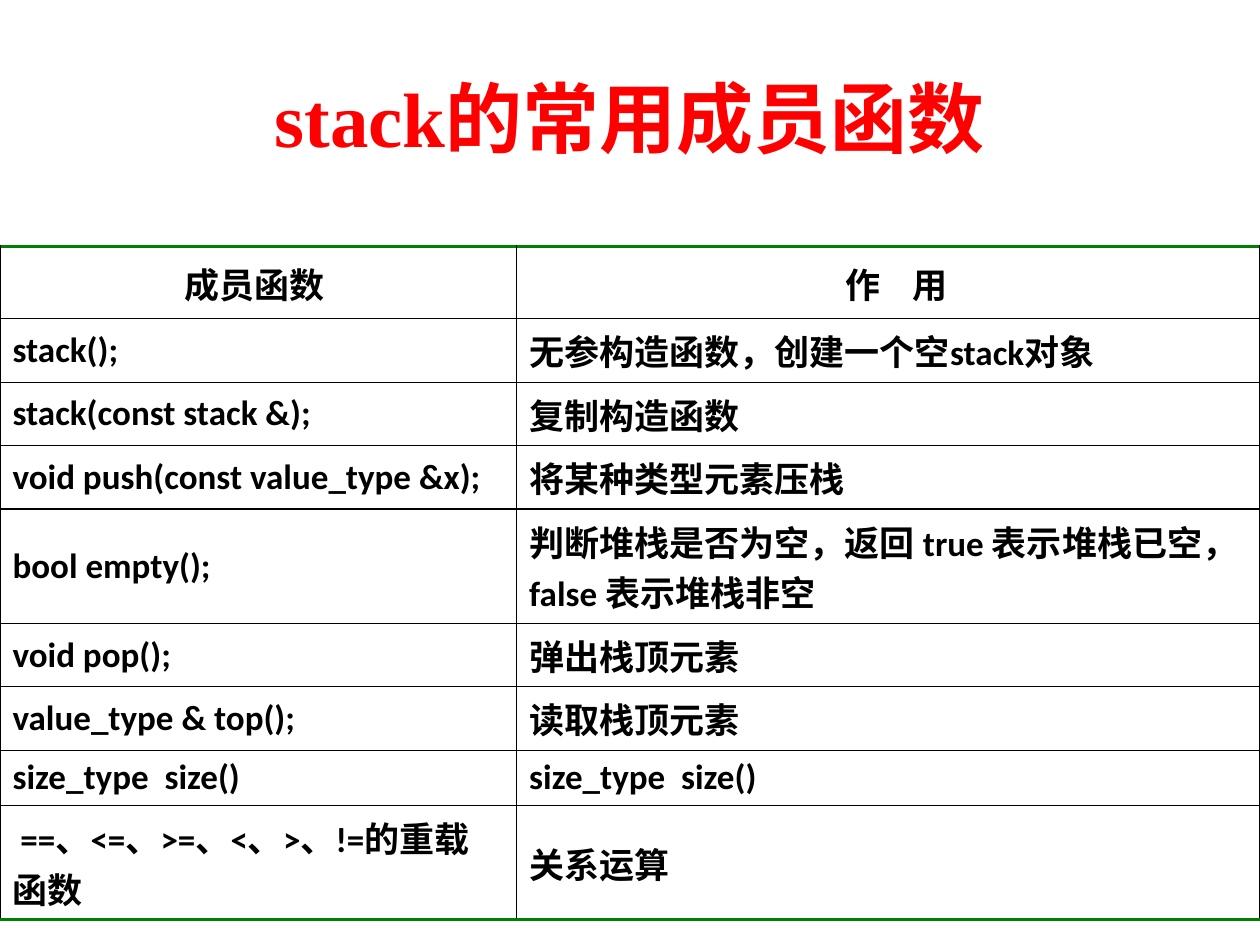
from dataclasses import dataclass

from lxml.etree import SubElement
from pptx import Presentation
from pptx.dml.color import RGBColor as Color
from pptx.enum.text import MSO_ANCHOR as Anchor, PP_ALIGN as Align
from pptx.oxml.ns import qn
from pptx.util import Inches, Pt


@dataclass(frozen=True)
class Theme:
    red: str = "FF0000"
    black: str = "000000"
    white: str = "FFFFFF"
    green: str = "008000"
    title_size: int = 44
    cell_size: int = 20
    serif: str = "Times New Roman"
    header: str = "Arial"
    body: str = "Calibri"


theme = Theme()


def write_text(frame, text, font=theme.body, size=theme.cell_size,
               color=theme.black, align=Align.LEFT):
    para = frame.paragraphs[0]
    para.alignment = align
    span = para.add_run()
    span.text = text
    span.font.name = font
    span.font.size = Pt(size)
    span.font.bold = True
    span.font.color.rgb = Color.from_string(color)


def set_borders(cell, **edges):
    """Draw cell edges, each given as side=(color, points)."""
    props = cell._tc.get_or_add_tcPr()
    for place, side in enumerate("LRTB"):
        color, points = edges[side]
        line = props.makeelement(qn(f"a:ln{side}"), {"w": str(Pt(points))})
        fill = SubElement(line, qn("a:solidFill"))
        SubElement(fill, qn("a:srgbClr"), val=color)
        props.insert(place, line)


functions = [
    (" 成员函数  ", "  作    用"),
    ("stack();", "无参构造函数，创建一个空stack对象"),
    ("stack(const stack &);", "复制构造函数"),
    ("void push(const value_type &x);", "将某种类型元素压栈"),
    ("bool empty();", "判断堆栈是否为空，返回 true 表示堆栈已空，false 表示堆栈非空"),
    ("void pop();", "弹出栈顶元素"),
    ("value_type & top();", "读取栈顶元素"),
    ("size_type  size()", "size_type  size()"),
    (" ==、<=、>=、<、>、!=的重载函数", "关系运算"),
]

deck = Presentation()
deck.slide_width, deck.slide_height = Inches(10), Inches(7.5)
width, height = deck.slide_width, deck.slide_height
page = deck.slides.add_slide(deck.slide_layouts[5])

title = page.shapes.title
title.left, title.top = int(width * 0.05), int(height * 0.04)
title.width, title.height = int(width * 0.9), Inches(1.25)
title.text_frame.vertical_anchor = Anchor.MIDDLE
write_text(title.text_frame, "stack的常用成员函数", font=theme.serif,
           size=theme.title_size, color=theme.red, align=Align.CENTER)

table_box = page.shapes.add_table(len(functions), 2, 0, Inches(1.96), width, Inches(4.7))
table = table_box.table
for column, share in zip(table.columns, (0.41, 0.59)):
    column.width = int(width * share)

thin, medium, thick = (theme.black, 0.75), (theme.black, 1), (theme.green, 2)
# Lines above each row, and the one below the last
rules = [thick, medium] + [thin] * (len(functions) - 2) + [thick]

for index, texts in enumerate(functions):
    is_header = index == 0
    table.rows[index].height = Inches(0.57 if is_header else 0.33)
    for cell, text in zip(table.rows[index].cells, texts):
        cell.vertical_anchor = Anchor.MIDDLE
        cell.fill.solid()
        cell.fill.fore_color.rgb = Color.from_string(theme.white)
        set_borders(cell, L=thin, R=thin, T=rules[index], B=rules[index + 1])
        write_text(cell.text_frame, text,
                   font=theme.header if is_header else theme.body,
                   align=Align.CENTER if is_header else Align.LEFT)
table_box.height = Inches(4.7)

deck.save("out.pptx")
